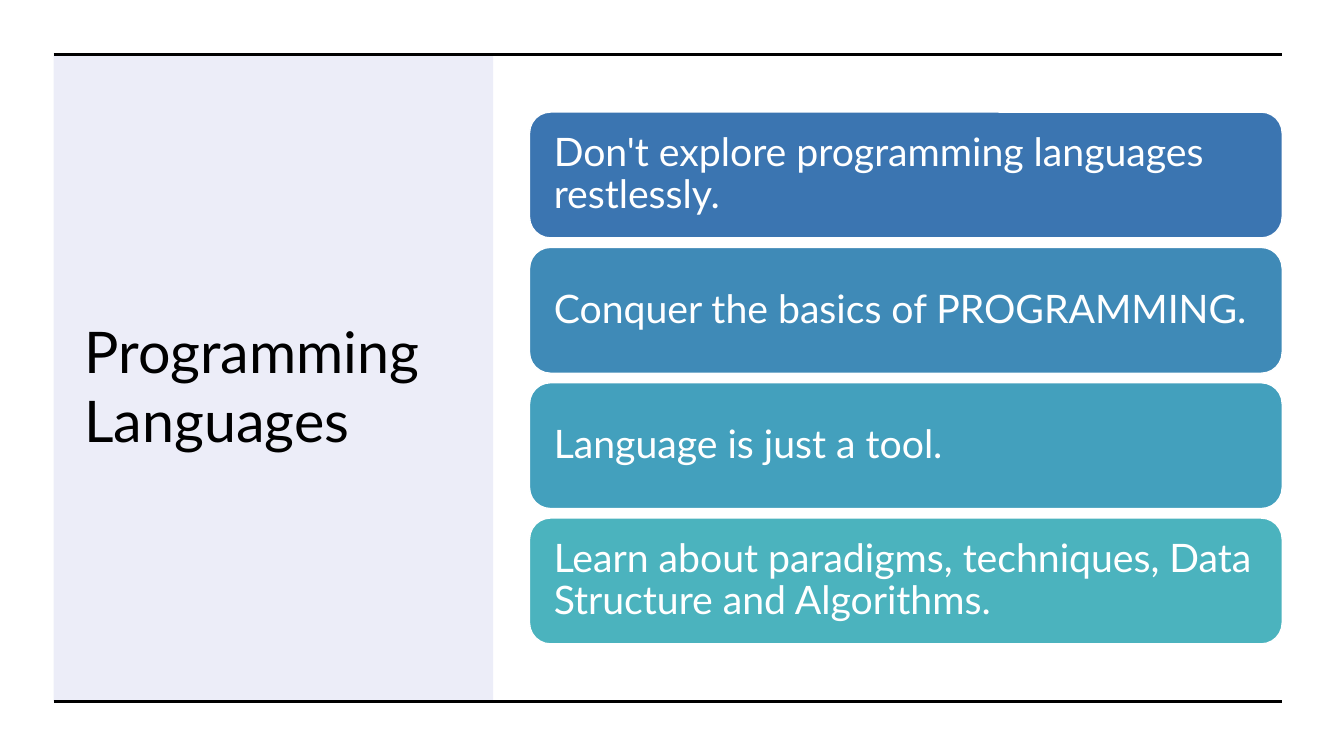
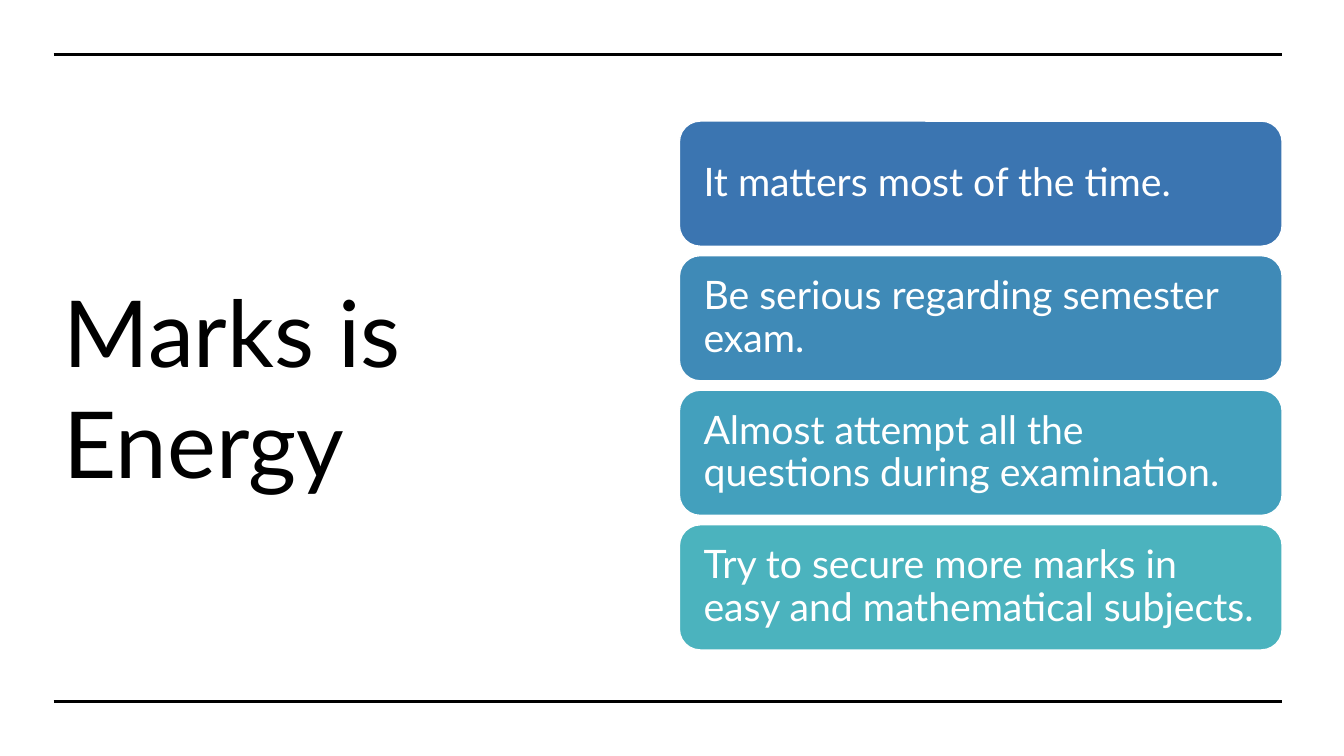
from lxml.etree import SubElement
from pptx import Presentation
from pptx.dml.color import RGBColor
from pptx.enum.shapes import MSO_CONNECTOR, MSO_SHAPE
from pptx.enum.text import MSO_ANCHOR, PP_ALIGN
from pptx.oxml.ns import qn
from pptx.util import Inches, Pt


def shade(code):
    return RGBColor.from_string(code)


class Deck:
    """Holds the style and the current slide; lengths are percent of the slide."""

    font = "Lato"
    ink, paper, tint = "000000", "FFFFFF", "4D55C3"
    tones = ("3B75B1", "3F8AB7", "43A0BD", "4BB3BE")
    left, right, top, base = 4, 95.4, 7.2, 92.8
    inset = Inches(0.18)

    def __init__(self):
        self.show = Presentation()
        self.show.slide_width = Inches(13.33)
        self.show.slide_height = Inches(7.5)

    def area(self, x, y, wide, high):
        across, down = self.show.slide_width, self.show.slide_height
        return [int(part * side / 100) for part, side in
                ((x, across), (y, down), (wide, across), (high, down))]

    def page(self):
        self.slide = self.show.slides.add_slide(self.show.slide_layouts[6])
        self.shapes = self.slide.shapes

    def rule(self, y):
        x, y, end, _ = self.area(self.left, y, self.right, 0)
        line = self.shapes.add_connector(MSO_CONNECTOR.STRAIGHT, x, y, end, y)
        line.line.color.rgb = shade(self.ink)
        line.line.width = Pt(2.25)
        SubElement(line._element.spPr, qn("a:effectLst"))

    def rules(self):
        for y in (self.top, self.base):
            self.rule(y)

    def block(self, kind, box, tone):
        block = self.shapes.add_shape(kind, *self.area(*box))
        block.shadow.inherit = False
        block.fill.solid()
        block.fill.fore_color.rgb = shade(tone)
        return block

    def panel(self, wide):
        box = (self.left, self.top, wide, self.base - self.top)
        panel = self.block(MSO_SHAPE.RECTANGLE, box, self.tint)
        panel.line.fill.background()
        color = panel._element.spPr.find(qn("a:solidFill"))[0]
        SubElement(color, qn("a:alpha"), val="10000")

    def label(self, shape, text, size, tone):
        frame = shape.text_frame
        frame.word_wrap = True
        frame.vertical_anchor = MSO_ANCHOR.MIDDLE
        para = frame.paragraphs[0]
        para.alignment = PP_ALIGN.LEFT
        run = para.add_run()
        run.text = text
        run.font.name = self.font
        run.font.size = Pt(size)
        run.font.color.rgb = shade(tone)
        return frame, para

    def title(self, text, box, size):
        self.label(self.shapes.add_textbox(*self.area(*box)), text, size, self.ink)

    def bar(self, text, box, tone):
        bar = self.block(MSO_SHAPE.ROUNDED_RECTANGLE, box, tone)
        bar.line.color.rgb = shade(self.paper)
        bar.line.width = Pt(1)
        frame, para = self.label(bar, text, 28, self.paper)
        frame.margin_left = frame.margin_right = self.inset
        frame.margin_top = frame.margin_bottom = self.inset
        para.line_spacing = 0.9

    def stack(self, texts, x, mid, pitch):
        high = 0.93 * pitch
        start = mid - ((len(texts) - 1) * pitch + high) / 2
        for row, (text, tone) in enumerate(zip(texts, self.tones)):
            box = (x, start + row * pitch, self.right - x, high)
            self.bar(text, box, tone)


def main():
    deck = Deck()

    deck.page()
    deck.panel(32.7)
    deck.title("Programming Languages", (5.55, 14.3, 29.2, 73.3), 41)
    deck.rules()
    deck.stack((
        "Don't explore programming languages restlessly.",
        "Conquer the basics of PROGRAMMING.",
        "Language is just a tool.",
        "Learn about paradigms, techniques, Data Structure and Algorithms.",
    ), 39.4, 50, 17.9)

    deck.page()
    deck.title("Marks is Energy", (deck.left, 12.7, 46, 76.7), 66)
    deck.rules()
    deck.stack((
        "It matters most of the time.",
        "Be serious regarding semester exam.",
        "Almost attempt all the questions during examination.",
        "Try to secure more marks in easy and mathematical subjects.",
    ), 50.55, 51, 17.8)

    deck.show.save("out.pptx")


if __name__ == "__main__":
    main()
